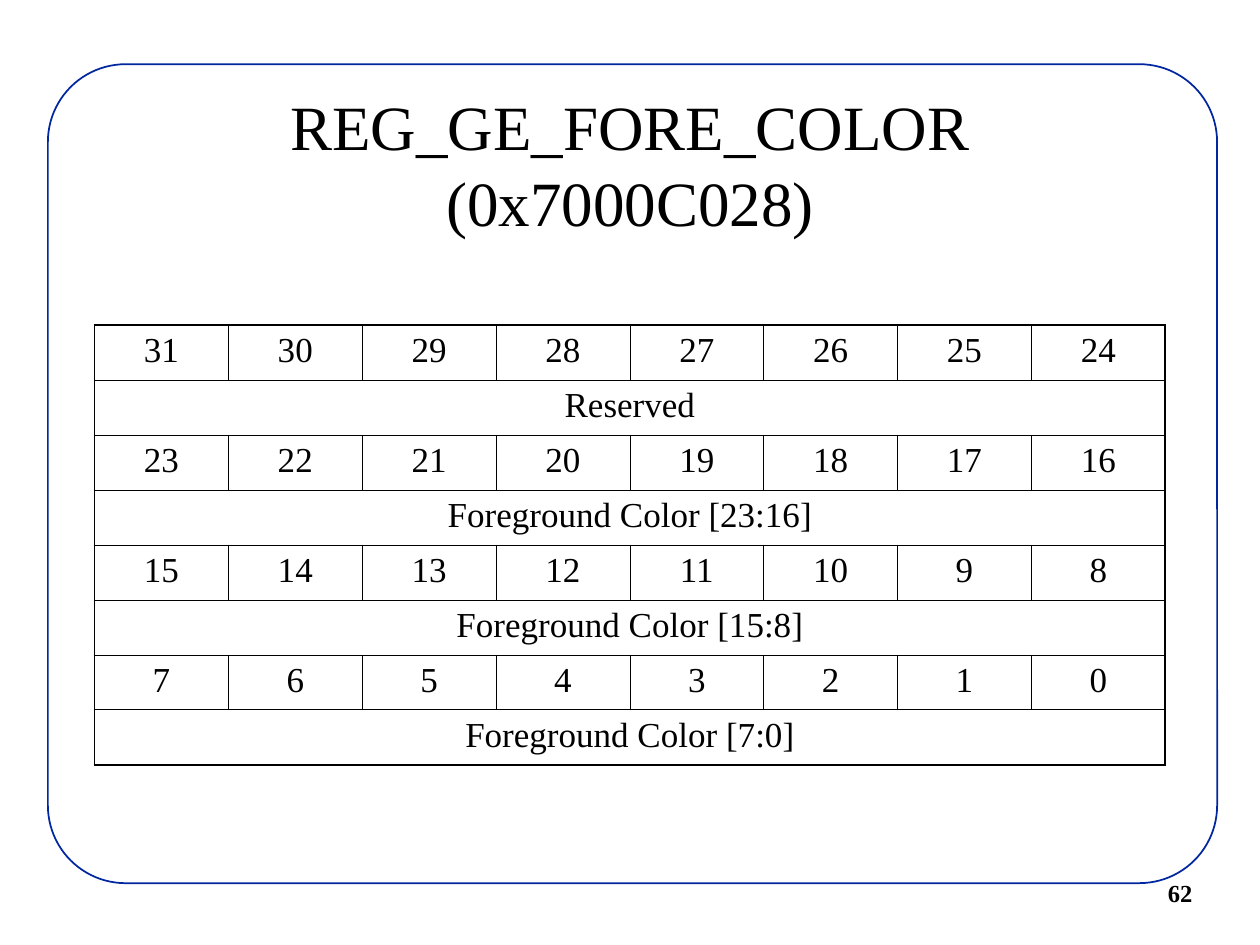
from pptx import Presentation
from pptx.dml.color import RGBColor
from pptx.enum.shapes import MSO_SHAPE
from pptx.enum.text import MSO_ANCHOR, MSO_AUTO_SIZE, PP_ALIGN
from pptx.oxml import parse_xml
from pptx.oxml.ns import nsdecls
from pptx.util import Inches, Pt

TITLE = "REG_GE_FORE_COLOR\v(0x7000C028)"
PAGE_NUMBER = "62"
FIELDS = [
    (31, "Reserved"),
    (23, "Foreground Color [23:16]"),
    (15, "Foreground Color [15:8]"),
    (7, "Foreground Color [7:0]"),
]
BITS = 8
FRAME = (0.38, 0.51, 9.28, 6.5)
TITLE_AREA = (0.75, 0.67, 8.5, 1.25)
NUMBER_AREA = (9.17, 6.92, 1.08, 0.33)
TABLE_AREA = (0.75, 2.58, 8.5, 3.49)
OUTER, INNER = 1.08, 0.45
BLACK, WHITE, NAVY = "000000", "FFFFFF", "00279F"


def color(value):
    return RGBColor.from_string(value)


def area(values):
    return [Inches(value) for value in values]


def write(frame, text, size, bold=False, **paragraph_format):
    frame.text = text
    para = frame.paragraphs[0]
    for name, value in paragraph_format.items():
        setattr(para, name, value)
    for span in para.runs:
        font = {"name": "Times New Roman", "size": Pt(size), "bold": bold}
        for name, value in font.items():
            setattr(span.font, name, value)
        span.font.color.rgb = color(BLACK)


def set_borders(cell, widths):
    properties = cell._tc.get_or_add_tcPr()
    for side, width in widths.items():
        properties.append(parse_xml(
            f'<a:ln{side} {nsdecls("a")} w="{Pt(width)}"><a:solidFill>'
            f'<a:srgbClr val="{BLACK}"/></a:solidFill></a:ln{side}>'))


def add_frame(page):
    frame = page.shapes.add_shape(MSO_SHAPE.ROUNDED_RECTANGLE, *area(FRAME))
    frame.adjustments[0] = 0.095
    frame.shadow.inherit = False
    frame.fill.solid()
    frame.fill.fore_color.rgb = color(WHITE)
    frame.line.color.rgb = color(NAVY)
    frame.line.width = Pt(1)
    page.shapes._spTree.insert(2, frame._element)


def add_title(page):
    title = page.shapes.title
    title.left, title.top, title.width, title.height = area(TITLE_AREA)
    write(title.text_frame, TITLE, 36, alignment=PP_ALIGN.CENTER)
    title.text_frame.auto_size = MSO_AUTO_SIZE.NONE
    title.text_frame.vertical_anchor = MSO_ANCHOR.MIDDLE


def add_number(page):
    box = page.shapes.add_textbox(*area(NUMBER_AREA))
    box.text_frame.word_wrap = False
    write(box.text_frame, PAGE_NUMBER, 14, bold=True, alignment=PP_ALIGN.LEFT)


def add_register(page):
    rows = []
    for high, field in FIELDS:
        rows.append([str(high - bit) for bit in range(BITS)])
        rows.append([field])
    table = page.shapes.add_table(len(rows), BITS, *area(TABLE_AREA)).table
    table.first_row = table.horz_banding = False
    for r, texts in enumerate(rows):
        if len(texts) == 1:
            table.cell(r, 0).merge(table.cell(r, BITS - 1))
        for c, text in enumerate(texts):
            cell = table.cell(r, c)
            write(cell.text_frame, text, 20,
                  alignment=PP_ALIGN.CENTER, space_before=Pt(5))
            edges = {
                "L": c == 0,
                "R": c == len(texts) - 1,
                "T": r == 0,
                "B": r == len(rows) - 1,
            }
            set_borders(cell, {side: OUTER if edge else INNER
                               for side, edge in edges.items()})
            cell.fill.background()


def main():
    deck = Presentation()
    deck.slide_width, deck.slide_height = Inches(10), Inches(7.5)
    page = deck.slides.add_slide(deck.slide_layouts[5])
    add_frame(page)
    add_title(page)
    add_register(page)
    add_number(page)
    deck.save("out.pptx")


if __name__ == "__main__":
    main()
